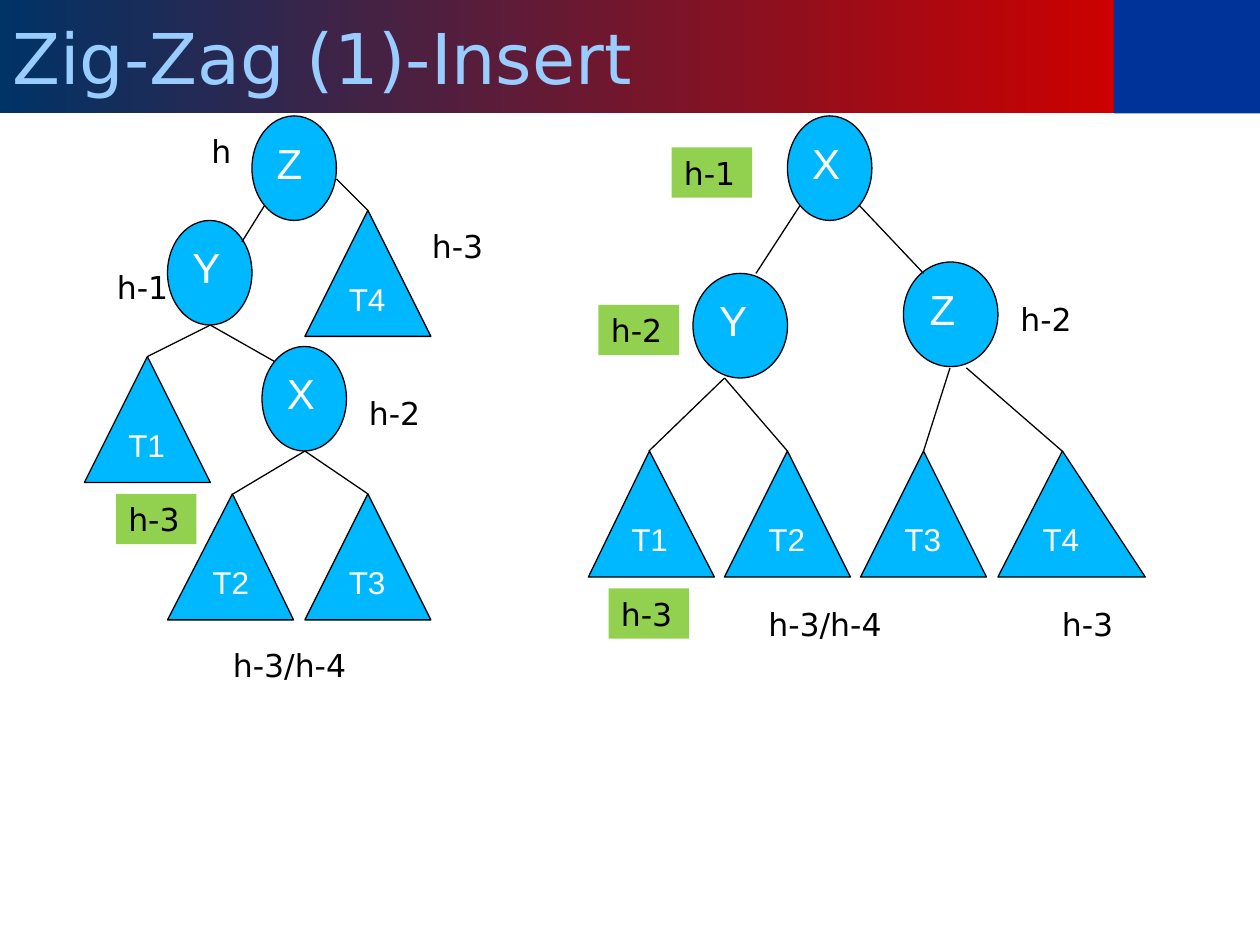
"""Build the slide on the zig-zag rotation after an insert."""
import pptx
import pptx.dml.color
import pptx.enum.shapes
import pptx.enum.text
import pptx.oxml.ns
import pptx.util
from lxml import etree

Inches = pptx.util.Inches
Shape = pptx.enum.shapes.MSO_SHAPE
Anchor = pptx.enum.text.MSO_ANCHOR


def color(value):
    """Turn a hex string into a colour."""
    return pptx.dml.color.RGBColor.from_string(value)


class TreeSlide:
    """Hold the style and the slide that receives the tree elements."""

    node_fill = "00B8FF"
    mark_fill = "92D050"
    ink = "000000"
    line_width = pptx.util.Pt(0.75)
    title_font = {"name": "DejaVu Sans", "size": 40, "color": "99CCFF"}
    label_font = {"name": "DejaVu Sans", "size": 18, "color": ink}
    node_font = {"name": "Arial", "size": 24, "color": "FFFFFF"}
    subtree_font = {"name": "Arial", "size": 18, "color": "FFFFFF"}

    def __init__(self, deck):
        """Add a title-only slide to the deck."""
        self.slide = deck.slides.add_slide(deck.slide_layouts[5])

    def set_text(self, shape, text, font, wrap=True, anchor=Anchor.TOP):
        """Put one left-aligned formatted line into a shape."""
        frame_format = {
            "word_wrap": wrap,
            "vertical_anchor": anchor,
            "auto_size": pptx.enum.text.MSO_AUTO_SIZE.NONE,
        }
        for key, value in frame_format.items():
            setattr(shape.text_frame, key, value)
        line = shape.text_frame.paragraphs[0]
        line.text = text
        line.alignment = pptx.enum.text.PP_ALIGN.LEFT
        font_format = {"name": font["name"], "size": pptx.util.Pt(font["size"])}
        for key, value in font_format.items():
            setattr(line.runs[0].font, key, value)
        line.runs[0].font.color.rgb = color(font["color"])

    def place(self, shape, left, top, width, height):
        """Set the position and size of a shape."""
        box = {"left": left, "top": top, "width": width, "height": height}
        for key, value in box.items():
            setattr(shape, key, Inches(value))

    def title(self, text, width, height):
        """Fill the title placeholder on a gradient band."""
        heading = self.slide.shapes.title
        self.place(heading, 0, 0, width, height)
        heading.fill.gradient()
        heading.fill.gradient_angle = 180
        for stop, value in zip(heading.fill.gradient_stops, ("CC0000", "003366")):
            stop.color.rgb = color(value)
        self.set_text(heading, text, self.title_font, anchor=Anchor.MIDDLE)

    def block(self, kind, box, fill, outlined=False):
        """Add a flat preset shape."""
        shape = self.slide.shapes.add_shape(kind, *map(Inches, box))
        shape.shadow.inherit = False
        shape.fill.solid()
        shape.fill.fore_color.rgb = color(fill)
        if outlined:
            shape.line.color.rgb = color(self.ink)
            shape.line.width = self.line_width
        else:
            shape.line.fill.background()
        return shape

    def node(self, text, left, top, width=0.67):
        """Add a round tree node."""
        box = (left, top, width, 0.83)
        self.set_text(self.block(Shape.OVAL, box, self.node_fill, True), text, self.node_font)

    def subtree(self, text, left, top, width=1, apex=0.5):
        """Add a triangular subtree."""
        triangle = self.block(
            Shape.ISOSCELES_TRIANGLE, (left, top, width, 1), self.node_fill, True)
        triangle.adjustments[0] = apex
        self.set_text(triangle, text, self.subtree_font)

    def edge(self, *ends):
        """Add a straight edge between two points."""
        edge = self.slide.shapes.add_connector(
            pptx.enum.shapes.MSO_CONNECTOR.STRAIGHT, *map(Inches, ends))
        edge.line.color.rgb = color(self.ink)
        edge.line.width = self.line_width
        etree.SubElement(edge._element.spPr, pptx.oxml.ns.qn("a:effectLst"))

    def height_label(self, text, left, top, width=0.64):
        """Add a plain subtree height."""
        label = self.slide.shapes.add_textbox(*map(Inches, (left, top, width, 0.4)))
        self.set_text(label, text, self.label_font, wrap=width > 1)

    def height_mark(self, text, left, top):
        """Add a highlighted subtree height."""
        mark = self.block(Shape.RECTANGLE, (left, top, 0.64, 0.4), self.mark_fill)
        self.set_text(mark, text, self.label_font, wrap=False)


def main():
    """Draw the trees before and after the rotation."""
    deck = pptx.Presentation()
    deck.slide_width, deck.slide_height = Inches(10), Inches(7.5)
    tree = TreeSlide(deck)
    tree.title("Zig-Zag (1)-Insert", 8.84, 0.9)
    tree.block(Shape.RECTANGLE, (8.84, 0, 1.16, 0.9), "003399")

    nodes = [
        ("Z", 2, 0.92), ("X", 2.08, 2.75), ("Y", 1.33, 1.75),
        ("Z", 7.17, 2.08, 0.75), ("Y", 5.5, 2.17, 0.75), ("X", 6.25, 0.92),
    ]
    subtrees = [
        ("T2", 1.33, 3.92, 1, 0.515), ("T1", 0.67, 2.83),
        ("T3", 2.42, 3.92), ("T4", 2.42, 1.67),
        ("T1", 4.67, 3.58, 1, 0.485), ("T2", 5.75, 3.58),
        ("T3", 6.83, 3.58), ("T4", 7.92, 3.58, 1.17, 0.438),
    ]
    edges = [
        (2.1, 1.63, 1.92, 1.92), (2.67, 1.42, 2.92, 1.67),
        (1.67, 2.58, 2.18, 2.87), (1.67, 2.58, 1.17, 2.83),
        (2.42, 3.58, 1.85, 3.92), (2.42, 3.58, 2.92, 3.92),
        (6.35, 1.63, 6, 2.17), (6.82, 1.63, 7.33, 2.17),
        (5.75, 3, 6.25, 3.58), (5.75, 3, 5.15, 3.58),
        (7.67, 2.92, 8.43, 3.58), (7.54, 2.92, 7.33, 3.58),
    ]
    height_labels = [
        ("h-3", 3.33, 1.75), ("h-2", 2.83, 3.08), ("h-3/h-4", 1.75, 5.08, 1.25),
        ("h-1", 0.83, 2.08), ("h", 1.58, 1, 0.36), ("h-3", 8.33, 4.75),
        ("h-3/h-4", 6, 4.75, 1.33), ("h-2", 8, 2.33),
    ]
    height_marks = [
        ("h-1", 5.33, 1.17), ("h-2", 4.75, 2.42),
        ("h-3", 0.92, 3.92), ("h-3", 4.83, 4.67),
    ]
    for draw, parts in (
        (tree.node, nodes), (tree.subtree, subtrees), (tree.edge, edges),
        (tree.height_label, height_labels), (tree.height_mark, height_marks),
    ):
        for part in parts:
            draw(*part)
    deck.save("out.pptx")


if __name__ == "__main__":
    main()
